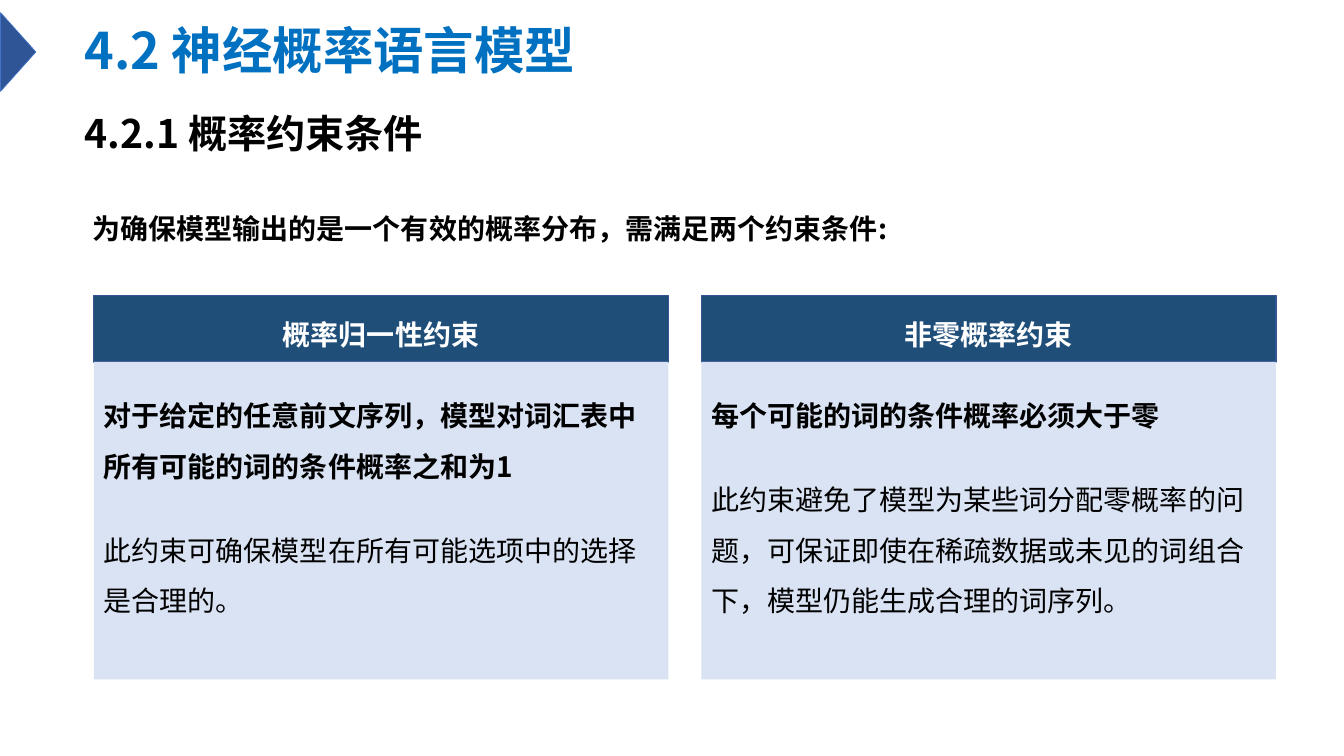
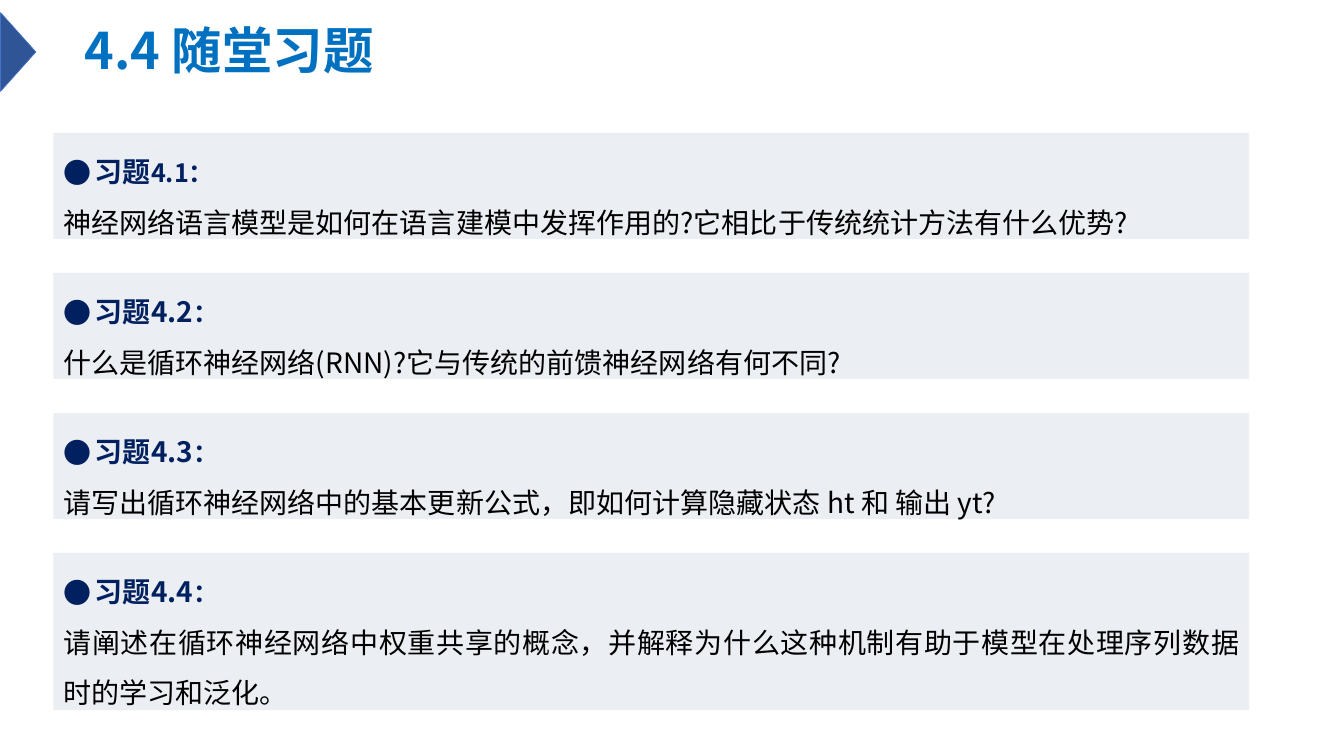
from dataclasses import dataclass

from lxml.etree import SubElement
from pptx import Presentation
from pptx.dml.color import RGBColor
from pptx.enum.shapes import MSO_SHAPE as Shape
from pptx.enum.text import MSO_ANCHOR as Anchor, MSO_AUTO_SIZE as Fit, PP_ALIGN as Align
from pptx.oxml.ns import qn
from pptx.util import Pt


@dataclass(frozen=True)
class Theme:
    font: str = "Noto Sans CJK SC"
    title: str = "0070C0"
    marker: str = "2F5597"
    marker_line: str = "4472C4"
    header: str = "1F4E79"
    header_line: str = "325491"
    card: str = "DAE3F3"
    panel: str = "EBEEF2"
    label: str = "002060"
    ink: str = "000000"
    white: str = "FFFFFF"
    title_size: int = 36
    subtitle_size: int = 28
    body_size: int = 20
    small_size: int = 18


class Deck:
    def __init__(self, theme):
        self.theme = theme
        self.file = Presentation()
        self.file.slide_width, self.file.slide_height = Pt(960), Pt(540)
        self.page = None

    def add_page(self, title):
        self.page = self.file.slides.add_slide(self.file.slide_layouts[6])
        self.heading(title, 17.3, 40.3, self.theme.title_size, self.theme.title)
        marker = self.shape(Shape.ISOSCELES_TRIANGLE, (-15.1, 24.5, 56.2, 25.2),
                            self.theme.marker, self.theme.marker_line, 0.5)
        marker.rotation = 90

    def shape(self, kind, area, fill, line=None, width=1):
        shape = self.page.shapes.add_shape(kind, *map(Pt, area))
        shape.shadow.inherit = False
        shape.fill.solid()
        shape.fill.fore_color.rgb = RGBColor.from_string(fill)
        if line:
            shape.line.color.rgb = RGBColor.from_string(line)
            shape.line.width = Pt(width)
        else:
            shape.line.fill.background()
        return shape

    def text_box(self, area):
        return self.page.shapes.add_textbox(*map(Pt, area))

    def frame(self, box, insets=(7.2, 3.6, 7.2, 3.6), anchor=Anchor.TOP, fit=Fit.NONE):
        """Set up the text frame; insets are left, top, right, bottom."""
        frame = box.text_frame
        sides = ("margin_left", "margin_top", "margin_right", "margin_bottom")
        values = dict(zip(sides, map(Pt, insets)))
        values.update(word_wrap=True, vertical_anchor=anchor, auto_size=fit)
        for name, value in values.items():
            setattr(frame, name, value)
        return frame

    def para(self, frame, spans, spacing=1.5, align=Align.LEFT, before=0, indent=0, hanging=0):
        """Add a paragraph of (text, size, colour, bold) spans."""
        para = frame.paragraphs[0]
        if para.runs:
            para = frame.add_paragraph()
        values = {"line_spacing": spacing, "alignment": align, "space_before": Pt(before)}
        for name, value in values.items():
            setattr(para, name, value)
        props = para._p.get_or_add_pPr()
        props.set("marL", str(Pt(indent)))
        props.set("indent", str(Pt(-hanging)))
        for text, size, color, bold in spans:
            span = para.add_run()
            span.text = text
            for name, value in {"size": Pt(size), "bold": bold, "name": self.theme.font}.items():
                setattr(span.font, name, value)
            span.font.color.rgb = RGBColor.from_string(color)
            SubElement(span.font._element, qn("a:ea"), typeface=self.theme.font)
        return para

    def heading(self, text, top, height, size, color):
        box = self.text_box((59, top, 567, height))
        frame = self.frame(box, (0, 1.44, 0, 0), Anchor.MIDDLE, Fit.SHAPE_TO_FIT_TEXT)
        self.para(frame, [(text, size, color, True)], 0.9, before=1.2, indent=1.44)

    def lead(self, text):
        frame = self.frame(self.text_box((59, 123.8, 686, 48.2)), fit=Fit.SHAPE_TO_FIT_TEXT)
        self.para(frame, [(text, self.theme.body_size, self.theme.ink, True)], 2)

    def card(self, left, title, rule, reason):
        theme, width, top, header = self.theme, 410.4, 211, 47.5
        band = self.shape(Shape.RECTANGLE, (left, top, width, header),
                          theme.header, theme.header_line)
        self.para(self.frame(band), [(title, theme.body_size, theme.white, True)],
                  align=Align.CENTER)
        body = self.shape(Shape.RECTANGLE, (left, top + header, width, 226.8), theme.card)
        frame = self.frame(body, (7.2, 14.4, 7.2, 3.6))
        self.para(frame, [(rule, theme.body_size, theme.ink, True)])
        self.para(frame, [(reason, theme.body_size, theme.ink, False)], before=24)

    def exercise(self, top, height, label, question):
        """Draw a panel with a bulleted label of (text, size) parts above the question."""
        theme = self.theme
        panel = self.shape(Shape.RECTANGLE, (38.2, top, 854, height), theme.panel)
        frame = self.frame(panel, fit=Fit.SHAPE_TO_FIT_TEXT)
        spans = [(text, size, theme.label, True) for text, size in label]
        para = self.para(frame, spans, align=Align.JUSTIFY, indent=22.5, hanging=22.5)
        SubElement(para._p.pPr, qn("a:buFont"), typeface=theme.font)
        SubElement(para._p.pPr, qn("a:buChar"), char="●")
        self.para(frame, [(question, theme.body_size, theme.ink, False)], align=Align.JUSTIFY)


def constraints_page(deck):
    theme = deck.theme
    deck.add_page("4.2 神经概率语言模型")
    deck.heading("4.2.1 概率约束条件", 80.6, 31.7, theme.subtitle_size, theme.ink)
    deck.lead("为确保模型输出的是一个有效的概率分布，需满足两个约束条件:")
    cards = [
        ("概率归一性约束",
         "对于给定的任意前文序列，模型对词汇表中所有可能的词的条件概率之和为1",
         "此约束可确保模型在所有可能选项中的选择是合理的。"),
        ("非零概率约束",
         "每个可能的词的条件概率必须大于零",
         "此约束避免了模型为某些词分配零概率的问题，可保证即使在稀疏数据或未见的词组合下，"
         "模型仍能生成合理的词序列。"),
    ]
    for column, card in enumerate(cards):
        deck.card(67 + 434 * column, *card)


def exercises_page(deck):
    body, small = deck.theme.body_size, deck.theme.small_size
    deck.add_page("4.4 随堂习题")
    exercises = [
        (75.6, [("习题", body), ("4.1：", small)],
         "神经网络语言模型是如何在语言建模中发挥作用的?它相比于传统统计方法有什么优势?"),
        (75.6, [("习题4.2", body), ("：", small)],
         "什么是循环神经网络(RNN)?它与传统的前馈神经网络有何不同?"),
        (75.6, [("习题4.3", body), ("：", small)],
         "请写出循环神经网络中的基本更新公式，即如何计算隐藏状态 ht 和 输出 yt?"),
        (112.3, [("习题4.4", body), ("：", small)],
         "请阐述在循环神经网络中权重共享的概念，并解释为什么这种机制有助于模型在处理"
         "序列数据时的学习和泛化。"),
    ]
    for row, exercise in enumerate(exercises):
        deck.exercise(95 + 100 * row, *exercise)


def main():
    deck = Deck(Theme())
    constraints_page(deck)
    exercises_page(deck)
    deck.file.save("out.pptx")


if __name__ == "__main__":
    main()
